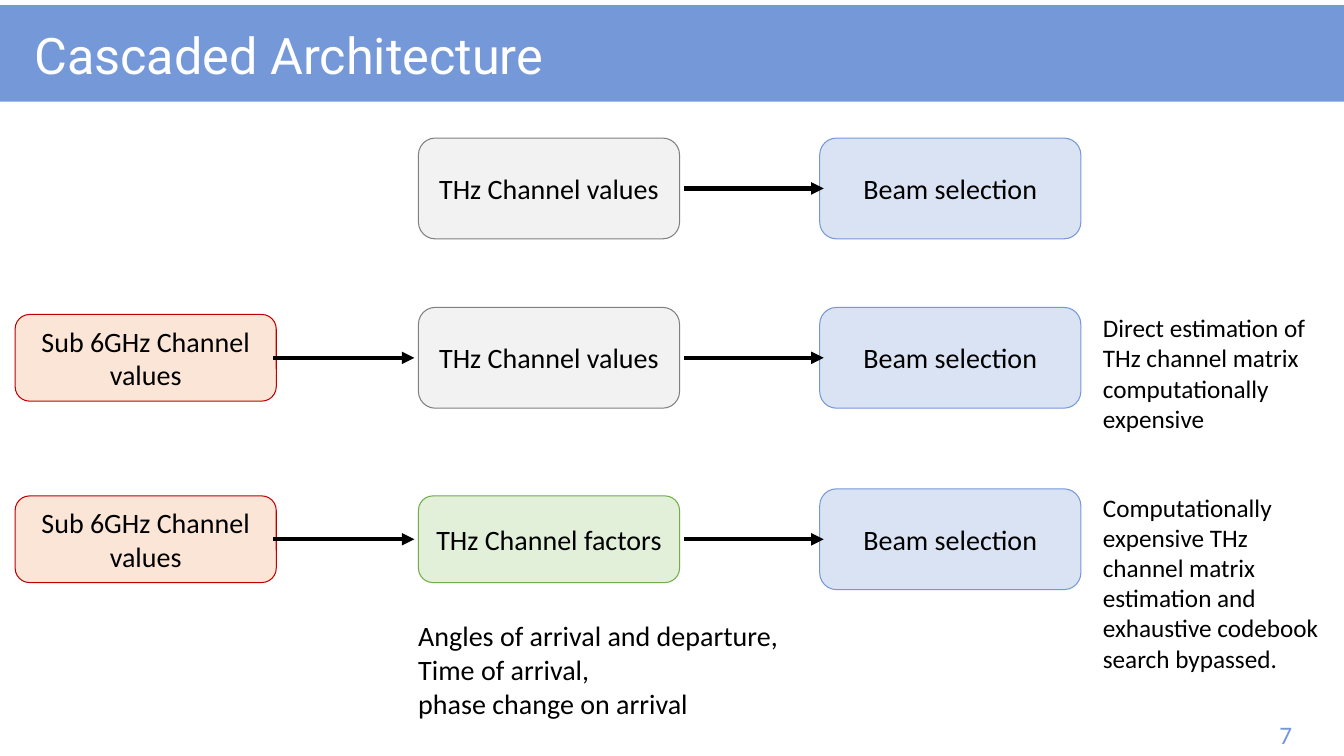
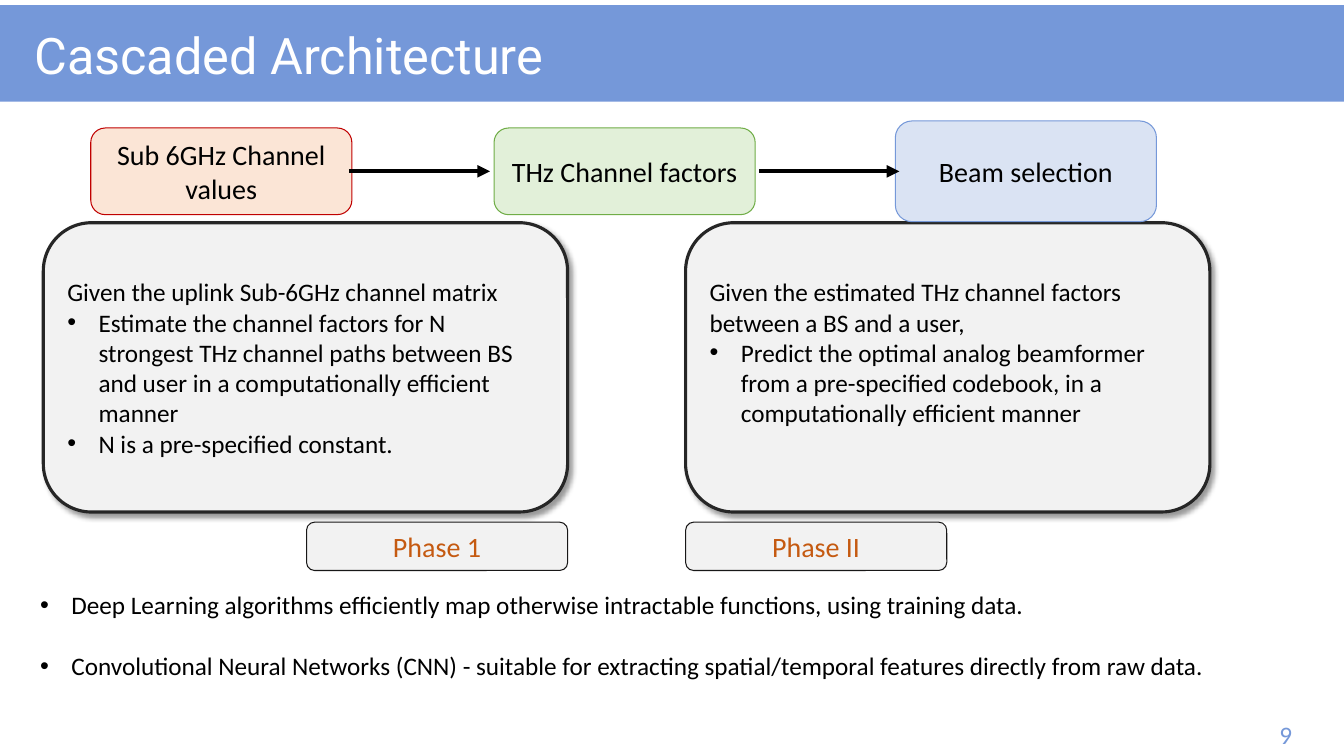
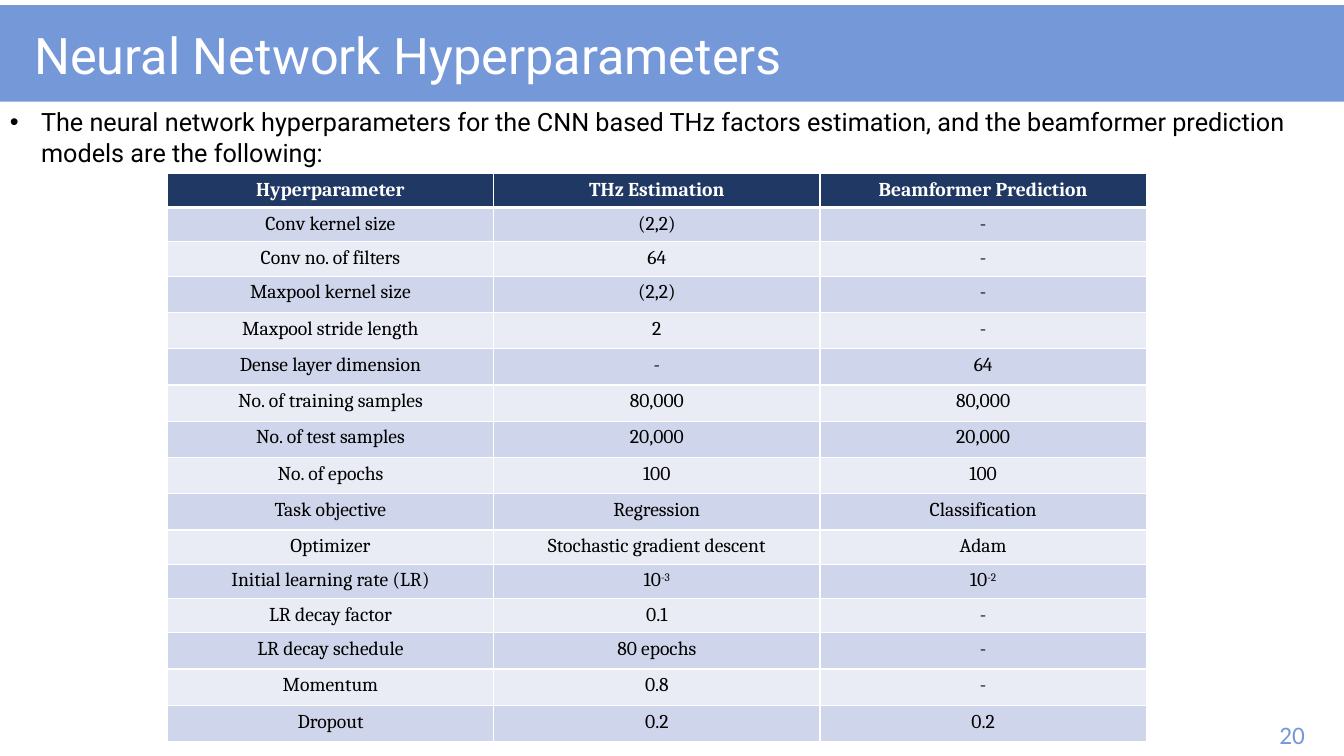
from lxml.etree import SubElement
from pptx import Presentation
from pptx.dml.color import RGBColor
from pptx.enum.shapes import MSO_CONNECTOR, MSO_SHAPE
from pptx.enum.text import MSO_ANCHOR, PP_ALIGN
from pptx.oxml import parse_xml
from pptx.oxml.ns import nsdecls, qn
from pptx.util import Inches, Pt

COLORS = {
    "band": "7598D9", "white": "FFFFFF", "black": "000000",
    "gray": "F2F2F2", "gray_line": "808080",
    "blue": "DAE3F3", "green": "E2F0D9", "green_line": "70AD47",
    "peach": "FBE5D6", "red": "C00000", "orange": "C55A11",
    "panel_line": "262626", "tag_line": "181717",
    "head": "203864", "odd": "CFD5EA", "even": "E9EBF5",
}

# Flow steps: text, fill, line, height
STEPS = {
    "sub": ("Sub 6GHz Channel values", "peach", "red", 0.86),
    "values": ("THz Channel values", "gray", "gray_line", 1),
    "factors": ("THz Channel factors", "green", "green_line", 0.86),
    "beam": ("Beam selection", "blue", "band", 1),
}
COLUMNS = (0, 4, 7.98)
STEP_WIDTH = 2.59

ROWS = [
    ("Hyperparameter", "THz Estimation", "Beamformer Prediction"),
    ("Conv kernel size", "(2,2)", "-"),
    ("Conv no. of filters", "64", "-"),
    ("Maxpool kernel size", "(2,2)", "-"),
    ("Maxpool stride length", "2", "-"),
    ("Dense layer dimension", "-", "64"),
    ("No. of training samples", "80,000", "80,000"),
    ("No. of test samples", "20,000", "20,000"),
    ("No. of epochs", "100", "100"),
    ("Task objective", "Regression", "Classification"),
    ("Optimizer", "Stochastic gradient descent", "Adam"),
    ("Initial learning rate (LR)", "10^-3", "10^-2"),
    ("LR decay factor", "0.1", "-"),
    ("LR decay schedule", "80 epochs", "-"),
    ("Momentum", "0.8", "-"),
    ("Dropout", "0.2", "0.2"),
]
LOW_ROWS = (0, 1, 2, 10, 11, 12)


def color(name):
    return RGBColor.from_string(COLORS[name])


def area(left, top, width, height):
    return [Inches(n) for n in (left, top, width, height)]


def write(frame, lines, size=18, font="Calibri", ink="black", bold=False,
          align=PP_ALIGN.LEFT, anchor=MSO_ANCHOR.TOP, gap=0, spacing=None):
    """Fill a frame; '• ' starts a bullet and '^' a superscript."""
    frame.word_wrap = True
    frame.vertical_anchor = anchor
    for i, line in enumerate(lines):
        para = frame.paragraphs[0] if i == 0 else frame.add_paragraph()
        para.alignment = align
        if spacing:
            para.line_spacing = spacing
        if gap and i:
            para.space_before = Pt(gap)
        if line.startswith("• "):
            line = line[2:]
            bullet(para)
        for j, part in enumerate(line.split("^")):
            run = para.add_run()
            run.text = part
            run.font.size = Pt(size)
            run.font.name = font
            run.font.bold = bold
            run.font.color.rgb = color(ink)
            if j:
                run.font._element.set("baseline", "30000")


def bullet(para):
    props = para._p.get_or_add_pPr()
    props.set("marL", str(Inches(0.31)))
    props.set("indent", str(Inches(-0.31)))
    SubElement(props, qn("a:buFont")).set("typeface", "Arial")
    SubElement(props, qn("a:buChar")).set("char", "•")


def box(slide, place, fill, line=None, width=0.75, kind=MSO_SHAPE.ROUNDED_RECTANGLE):
    shape = slide.shapes.add_shape(kind, *area(*place))
    shape.shadow.inherit = False
    shape.fill.solid()
    shape.fill.fore_color.rgb = color(fill)
    if line:
        shape.line.color.rgb = color(line)
        shape.line.width = Pt(width)
    else:
        shape.line.fill.background()
    return shape


def label(slide, place, text, fill, line, ink="black"):
    shape = box(slide, place, fill, line)
    write(shape.text_frame, [text], size=20, ink=ink,
          align=PP_ALIGN.CENTER, anchor=MSO_ANCHOR.MIDDLE)


def note(slide, place, lines, **style):
    frame = slide.shapes.add_textbox(*area(*place)).text_frame
    write(frame, lines, **style)


def arrow(slide, start, end, y):
    line = slide.shapes.add_connector(
        MSO_CONNECTOR.STRAIGHT, Inches(start), Inches(y), Inches(end), Inches(y))
    line.line.color.rgb = color("black")
    line.line.width = Pt(3)
    SubElement(line.line._get_or_add_ln(), qn("a:tailEnd")).set("type", "triangle")
    SubElement(line._element.spPr, qn("a:effectLst"))


def flow(slide, left, middle, names):
    """Draw a row of steps; None leaves its column empty."""
    for x, name in zip(COLUMNS, names):
        if name:
            text, fill, line, high = STEPS[name]
            label(slide, (left + x, middle - high / 2, STEP_WIDTH, high), text, fill, line)
    for i, name in enumerate(names[:-1]):
        if name:
            arrow(slide, left + COLUMNS[i] + STEP_WIDTH + 0.04 * i - 0.03 * (1 - i),
                  left + COLUMNS[i + 1] - 0.04 * (1 - i) + 0.04 * i, middle)


def panel(slide, left, lines, lift=0):
    shape = box(slide, (left, 2.21, 5.2, 2.87), "gray", "panel_line", 2.25)
    shape._element.spPr.remove(shape._element.spPr.find(qn("a:effectLst")))
    shape._element.spPr.append(parse_xml(
        f'<a:effectLst {nsdecls("a")}><a:outerShdw blurRad="{Pt(4)}" dist="{Pt(3)}" '
        f'dir="2700000"><a:srgbClr val="{COLORS["black"]}"><a:alpha val="40000"/>'
        '</a:srgbClr></a:outerShdw></a:effectLst>'))
    write(shape.text_frame, lines, anchor=MSO_ANCHOR.MIDDLE)
    shape.text_frame.margin_bottom = Inches(0.05 + lift)


def border(cell, side, width):
    edge = SubElement(cell._tc.get_or_add_tcPr(), qn(f"a:ln{side}"))
    edge.set("w", str(Pt(width)))
    fill = SubElement(edge, qn("a:solidFill"))
    SubElement(fill, qn("a:srgbClr")).set("val", COLORS["white"])


def grid(slide, rows, place):
    table = slide.shapes.add_table(len(rows), len(rows[0]), *area(*place)).table
    table.horz_banding = False
    for col in table.columns:
        col.width = Inches(place[2] / len(rows[0]))
    for r, row in enumerate(rows):
        table.rows[r].height = Inches(0.34 if r in LOW_ROWS else 0.36)
        fill = "head" if r == 0 else ("odd" if r % 2 else "even")
        for c, text in enumerate(row):
            cell = table.cell(r, c)
            for side in "LRTB":
                heavy = (r, side) in ((0, "B"), (1, "T"))
                border(cell, side, 3 if heavy else 1)
            cell.fill.solid()
            cell.fill.fore_color.rgb = color(fill)
            write(cell.text_frame, [text], size=14, font="Cambria", bold=r == 0,
                  ink="black" if r else "white", align=PP_ALIGN.CENTER)


def start(deck, title, number):
    """Add a slide with the shared band, title and page number."""
    slide = deck.slides.add_slide(deck.slide_layouts[5])
    band = box(slide, (-0.01, 0.05, 13.34, 0.96), "band", kind=MSO_SHAPE.RECTANGLE)
    slide.shapes._spTree.insert(2, band._element)
    head = slide.shapes.title
    head.left, head.top, head.width, head.height = area(0.24, 0.15, 12.94, 0.86)
    write(head.text_frame, [title], size=36, font="Roboto", ink="white",
          anchor=MSO_ANCHOR.MIDDLE, spacing=0.9)
    page = box(slide, (12.59, 7.09, 0.59, 0.35), "white", "white",
               kind=MSO_SHAPE.RECTANGLE)
    write(page.text_frame, [str(number)], ink="band")
    return slide


def paths(deck):
    slide = start(deck, "Cascaded Architecture", 7)
    flow(slide, 0.15, 1.87, (None, "values", "beam"))
    flow(slide, 0.15, 3.55, ("sub", "values", "beam"))
    flow(slide, 0.15, 5.35, ("sub", "factors", "beam"))
    note(slide, (4.05, 6.09, 6.67, 1.11),
         ["Angles of arrival and departure,", "Time of arrival,",
          "phase change on arrival"], size=20)
    note(slide, (10.84, 3.05, 2.34, 1.32),
         ["Direct estimation of THz channel matrix computationally expensive"])
    note(slide, (10.84, 4.83, 2.34, 2.22),
         ["Computationally expensive THz channel matrix estimation and "
          "exhaustive codebook search bypassed."])


def phases(deck):
    slide = start(deck, "Cascaded Architecture", 9)
    panel(slide, 0.43, [
        "Given the uplink Sub-6GHz channel matrix",
        "• Estimate the channel factors for N strongest THz channel paths "
        "between BS and user in a computationally efficient manner",
        "• N is a pre-specified constant."])
    panel(slide, 6.8, [
        "Given the estimated THz channel factors between a BS and a user,",
        "• Predict the optimal analog beamformer from a pre-specified "
        "codebook, in a computationally efficient manner"], lift=0.3)
    flow(slide, 0.9, 1.7, ("sub", "factors", "beam"))
    for left, text in ((3.04, "Phase 1"), (6.8, "Phase II")):
        label(slide, (left, 5.18, STEP_WIDTH, 0.48), text, "gray", "tag_line", "orange")
    note(slide, (0.3, 5.8, 12.74, 1.01), [
        "• Deep Learning algorithms efficiently map otherwise intractable "
        "functions, using training data.",
        "• Convolutional Neural Networks (CNN) - suitable for extracting "
        "spatial/temporal features directly from raw data."], gap=22)


def settings(deck):
    slide = start(deck, "Neural Network Hyperparameters", 20)
    note(slide, (0, 1.01, 13.33, 0.71), [
        "• The neural network hyperparameters for the CNN based THz factors "
        "estimation, and the beamformer prediction models are the following:"],
        font="Roboto")
    grid(slide, ROWS, (1.66, 1.72, 9.71, 5.63))


def main():
    deck = Presentation()
    deck.slide_width, deck.slide_height = Inches(13.33), Inches(7.5)
    paths(deck)
    phases(deck)
    settings(deck)
    deck.save("out.pptx")


if __name__ == "__main__":
    main()
